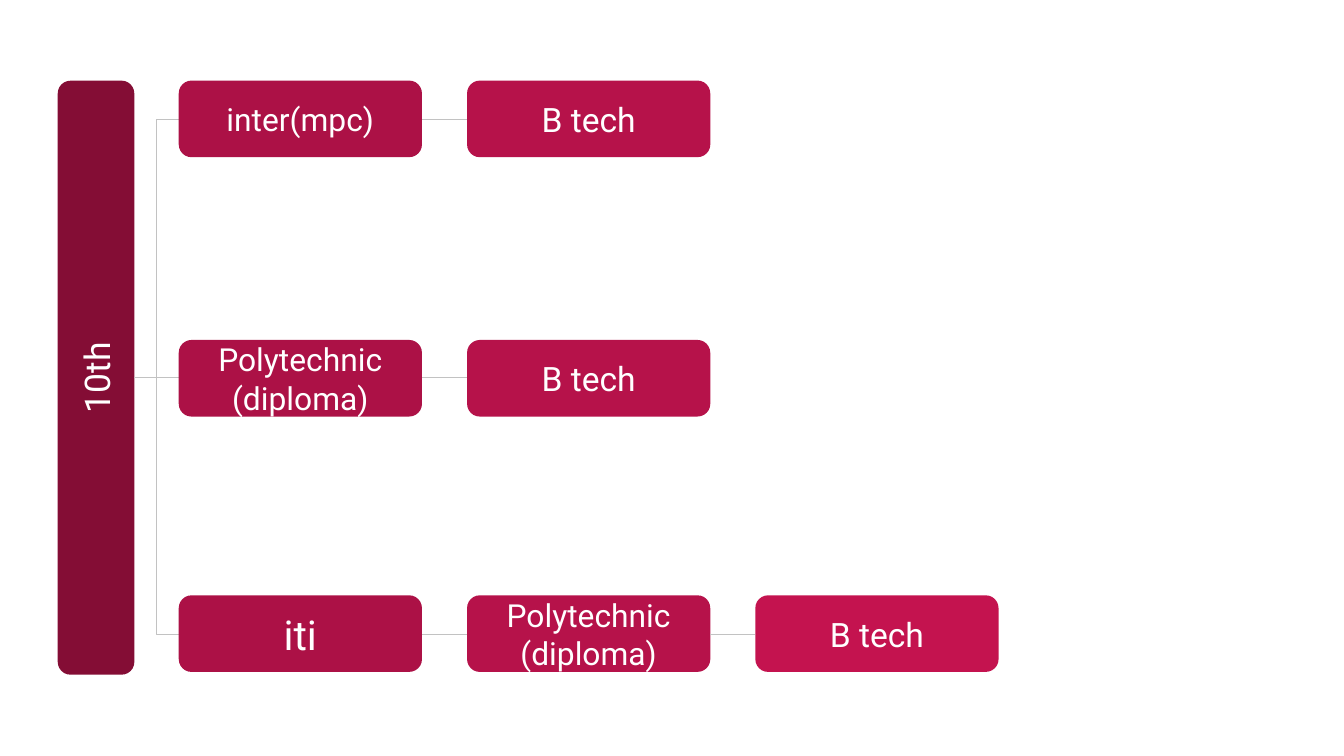
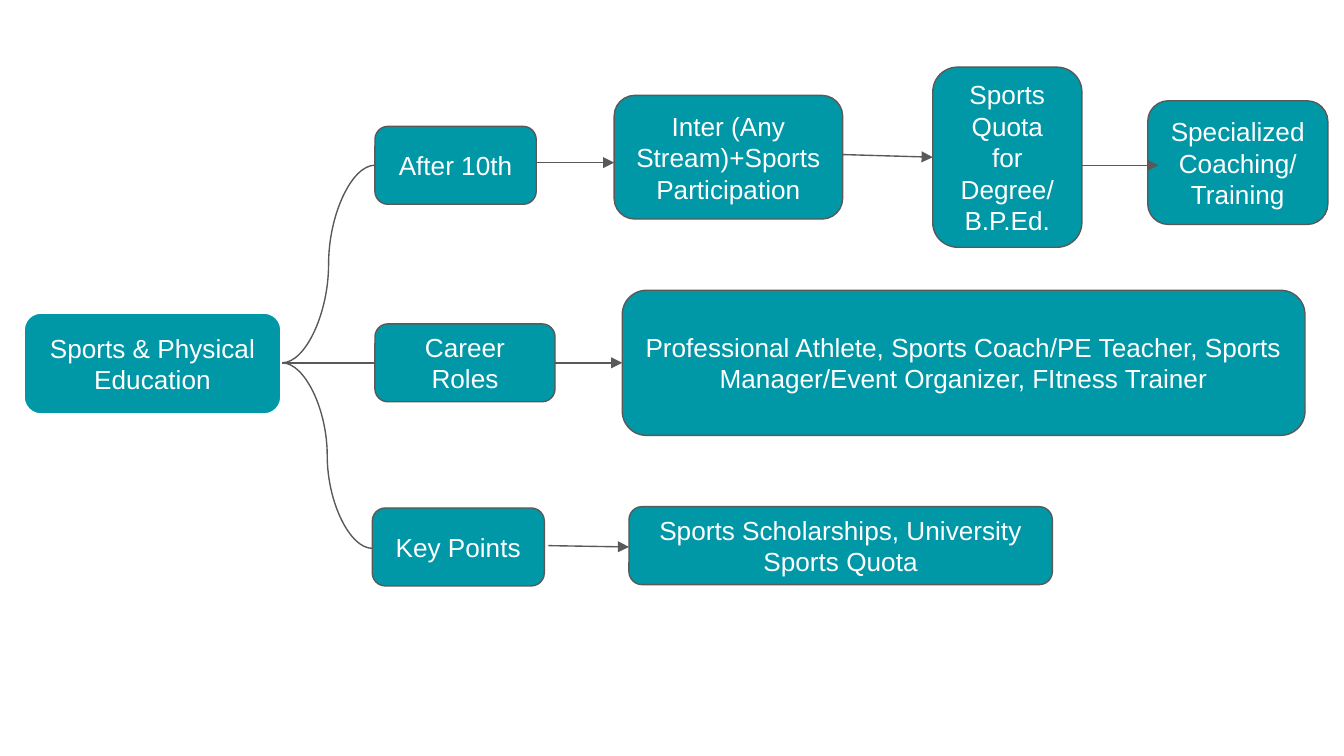
from lxml import etree
from pptx import Presentation
from pptx.dml.color import RGBColor
from pptx.enum import shapes, text
from pptx.oxml.ns import qn
from pptx.util import Pt

SCALE = 9144
WHITE, TEAL, GREY, PALE = "FFFFFF", "0097A7", "595959", "C2C2C2"
ROOT_RED = "840D35"
LEVEL_REDS = ["AC1146", "B6124A", "C4134F"]
STRAIGHT = shapes.MSO_CONNECTOR.STRAIGHT
ELBOW = shapes.MSO_CONNECTOR.ELBOW
CURVE = shapes.MSO_CONNECTOR.CURVE


def px(length):
    return round(length * SCALE)


def colour(value):
    return RGBColor.from_string(value)


def add_node(page, box, label, fill, size, font, line=None):
    node = page.shapes.add_shape(
        shapes.MSO_SHAPE.ROUNDED_RECTANGLE, *[px(length) for length in box])
    node.shadow.inherit = False
    node.fill.solid()
    node.fill.fore_color.rgb = colour(fill)
    if line:
        node.line.color.rgb = colour(line)
        node.line.width = Pt(0.75)
    else:
        node.line.fill.background()
    frame = node.text_frame
    frame.word_wrap = True
    frame.vertical_anchor = text.MSO_ANCHOR.MIDDLE
    frame.margin_left = frame.margin_right = px(10)
    frame.margin_top = frame.margin_bottom = px(10)
    frame.text = label
    for para in frame.paragraphs:
        para.alignment = text.PP_ALIGN.CENTER
        para.font.size = Pt(size)
        para.font.name = font
        para.font.color.rgb = colour(WHITE)
    return node


def add_link(page, kind, start, end, line, arrow=False):
    link = page.shapes.add_connector(
        kind, *[px(length) for length in (*start, *end)])
    link.line.color.rgb = colour(line)
    link.line.width = Pt(0.75)
    if arrow:
        etree.SubElement(link.line._get_or_add_ln(), qn("a:tailEnd"), type="triangle")
    etree.SubElement(link._element.spPr, qn("a:effectLst"))


def draw_study_tree(page, box):
    left, top, width, height = box
    thick, node_width = 57, 181
    first = left + 90
    step = (left + width - node_width - first) / 2
    gap = step - node_width
    middle = top + height // 2
    root_box = (left + (thick - height) / 2, top + (height - thick) / 2, height, thick)
    root = add_node(page, root_box, "10th", ROOT_RED, 19, "Roboto")
    root.rotation = 270

    degree = ("B tech", 18)
    diploma = ("Polytechnic\n(diploma)", 17)
    routes = [
        (0, 29, [("inter(mpc)", 17), degree]),
        (193, 221, [diploma, degree]),
        (383, 412, [("iti", 22), diploma, degree]),
    ]
    for offset, link_offset, stages in routes:
        centre = top + link_offset
        add_link(page, ELBOW, (left + thick, middle), (first, centre), PALE)
        for level, (label, size) in enumerate(stages):
            x = first + level * step
            if level:
                add_link(page, ELBOW, (x - gap, centre), (x, centre), PALE)
            add_node(page, (x, top + offset, node_width, thick), label,
                     LEVEL_REDS[level], size, "Roboto")


def draw_sports_map(page, box):
    left, top, width, height = box

    def place(x, y):
        return left + x, top + y

    nodes = [
        ("Sports & Physical Education", 0, 183, 191, 75),
        ("After 10th", 261, 44, 120, 58),
        ("Inter (Any Stream)+Sports Participation", 439, 21, 170, 92),
        ("Sports Quota for Degree/B.P.Ed.", 676, 0, 111, 134),
        ("Specialized Coaching/\nTraining", 836, 25, width - 836, 92),
        ("Career Roles", 261, 191, 134, 58),
        ("Professional Athlete, Sports Coach/PE Teacher, "
         "Sports Manager/Event Organizer, FItness Trainer", 445, 166, 508, 108),
        ("Key Points", 259, 328, 128, height - 328),
        ("Sports Scholarships, University Sports Quota", 450, 327, 315, 58),
    ]
    for index, (label, x, y, node_width, node_height) in enumerate(nodes):
        add_node(page, (*place(x, y), node_width, node_height), label, TEAL, 14,
                 "Arial", GREY if index else WHITE)

    hub = place(192, 220)
    for kind, end in [(CURVE, (261, 73)), (STRAIGHT, (261, 220)), (CURVE, (259, 358))]:
        add_link(page, kind, hub, place(*end), GREY)

    arrows = [
        ((380, 71), (439, 71)),
        ((609, 65), (676, 67)),
        ((787, 73), (844, 73)),
        ((394, 220), (445, 220)),
        ((390, 356), (450, 357)),
    ]
    for start, end in arrows:
        add_link(page, STRAIGHT, place(*start), place(*end), GREY, arrow=True)


def main():
    deck = Presentation()
    deck.slide_width = px(1000)
    deck.slide_height = deck.slide_width * 9 // 16
    for draw, box in [(draw_study_tree, (43, 60, 700, 442)),
                      (draw_sports_map, (18, 50, 970, 386))]:
        draw(deck.slides.add_slide(deck.slide_layouts[6]), box)
    deck.save("out.pptx")


if __name__ == "__main__":
    main()
